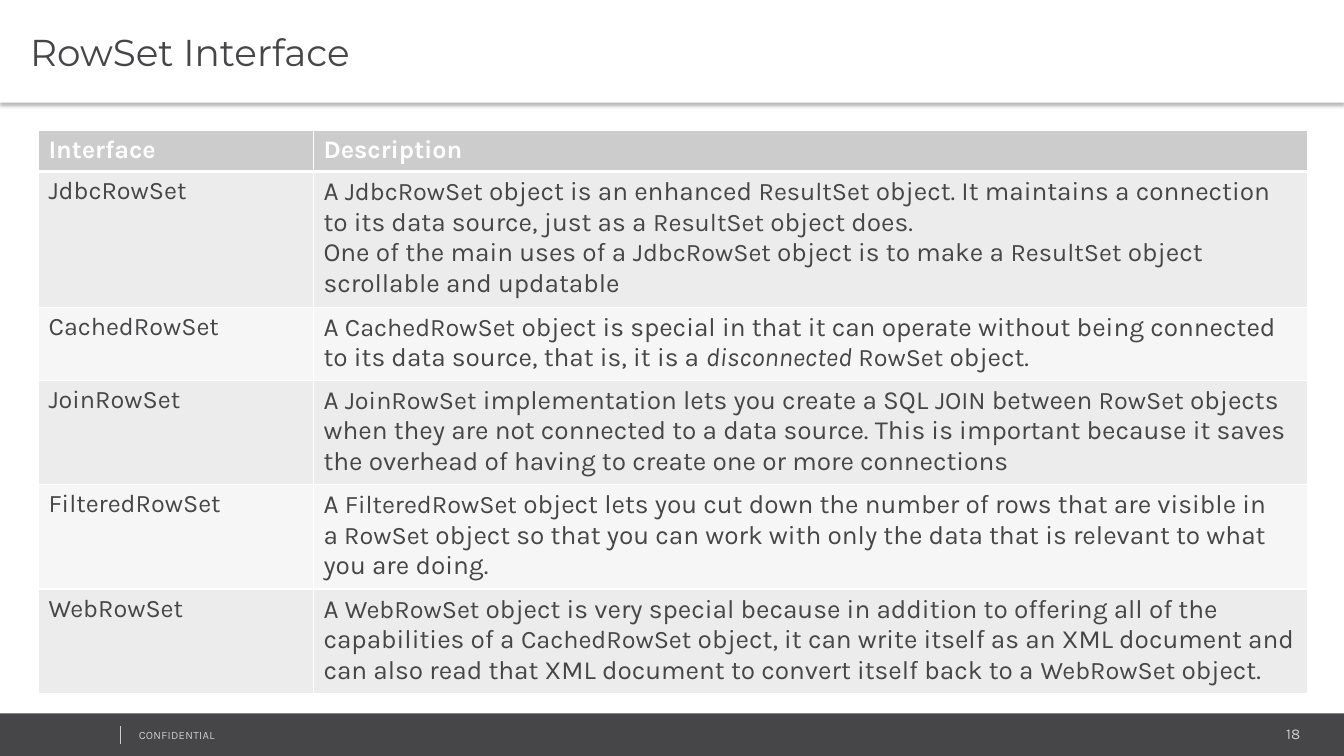
import dataclasses

import lxml.etree
import pptx
import pptx.dml.color
import pptx.enum.shapes
import pptx.enum.text
import pptx.oxml.ns
import pptx.util
from pptx.util import Cm, Pt

DARK, GREY, WHITE = "464547", "CCCCCC", "FFFFFF"
BANDS = ("ECECEC", "F6F6F6")
BODY_FONT, TITLE_FONT = "Karla", "Montserrat"
NAME_SIZE, PROSE_SIZE = 18, 18.7
HARD_SPACE = chr(160)


@dataclasses.dataclass(frozen=True)
class InterfaceRow:
    name: str
    paragraphs: tuple[str, ...]
    height: float


@dataclasses.dataclass(frozen=True)
class FooterText:
    text: str
    left: float
    top: float
    width: float
    height: float
    size: float
    align: pptx.enum.text.PP_ALIGN
    spacing: int = 0


# Backticks mark interface names and keywords; `*word` marks italics.
ROWS = (
    InterfaceRow("JdbcRowSet", (
        "A `JdbcRowSet` object is an enhanced `ResultSet` object. It maintains a connection to "
        "its data source, just as a `ResultSet` object does.",
        "One of the main uses of a `JdbcRowSet` object is to make a `ResultSet` object "
        "scrollable and updatable"), 3.3),
    InterfaceRow("CachedRowSet", (
        "A `CachedRowSet` object is special in that it can operate without being connected "
        "to its data source, that is, it is a `*disconnected` `RowSet` object.",), 1.78),
    InterfaceRow("JoinRowSet", (
        "A `JoinRowSet` implementation lets you create a SQL `JOIN` between `RowSet` objects "
        "when they are not connected to a data source. This is important because it saves "
        "the overhead of having to create one or more connections",), 2.55),
    InterfaceRow("FilteredRowSet", (
        "A `FilteredRowSet` object lets you cut down the number of rows that are visible in "
        "a `RowSet` object so that you can work with only the data that is relevant to what "
        "you are doing.",), 2.55),
    InterfaceRow("WebRowSet", (
        "A `WebRowSet` object is very special because in addition to offering all of the "
        "capabilities of a `CachedRowSet` object, it can write itself as an XML document and "
        "can also read that XML document to convert itself back to a `WebRowSet` object.",), 2.55),
)
FOOTER_TEXTS = (
    FooterText("18", 27.48, 18.14, 5.54, 0.71, 10.7, pptx.enum.text.PP_ALIGN.RIGHT),
    FooterText("CONFIDENTIAL", 3.25, 18.24, 8.59, 0.61, 8, pptx.enum.text.PP_ALIGN.LEFT, 20),
)


def color(value: str) -> pptx.dml.color.RGBColor:
    return pptx.dml.color.RGBColor.from_string(value)


def add_xml(parent, tag: str, **attributes):
    child = lxml.etree.SubElement(parent, pptx.oxml.ns.qn(tag))
    for key, value in attributes.items():
        child.set(key, str(value))
    return child


def set_font(para, name: str, size: float, shade: str, bold: bool = False) -> None:
    font = para.font
    font.name, font.size, font.bold = name, Pt(size), bold
    font.color.rgb = color(shade)


def write_title(page, text: str) -> None:
    title = page.shapes.title
    title.left, title.top, title.width, title.height = 0, 0, Cm(33.87), Cm(2.59)
    title.fill.solid()
    title.fill.fore_color.rgb = color(WHITE)
    effects = add_xml(title._element.spPr, "a:effectLst")
    shadow = add_xml(effects, "a:outerShdw", blurRad=Pt(3.1), dist=Pt(2), dir=5400000,
                     algn="t", rotWithShape=0)
    add_xml(add_xml(shadow, "a:srgbClr", val="000000"), "a:alpha", val=30000)
    frame = title.text_frame
    frame.margin_left, frame.margin_right = Cm(0.76), Cm(0.18)
    frame.margin_top = frame.margin_bottom = Cm(0.1)
    frame.vertical_anchor = pptx.enum.text.MSO_ANCHOR.MIDDLE
    para = frame.paragraphs[0]
    para.alignment = pptx.enum.text.PP_ALIGN.LEFT
    para.add_run().text = text
    set_font(para, TITLE_FONT, 26.7, DARK)


def draw_footer(page) -> None:
    bar = page.shapes.add_shape(pptx.enum.shapes.MSO_SHAPE.RECTANGLE,
                                0, Cm(17.98), Cm(33.9), Cm(1.09))
    bar.shadow.inherit = False
    bar.fill.solid()
    bar.fill.fore_color.rgb = color(DARK)
    bar.line.fill.background()
    for item in FOOTER_TEXTS:
        box = page.shapes.add_textbox(Cm(item.left), Cm(item.top), Cm(item.width), Cm(item.height))
        frame = box.text_frame
        frame.word_wrap = True
        frame.auto_size = pptx.enum.text.MSO_AUTO_SIZE.SHAPE_TO_FIT_TEXT
        para = frame.paragraphs[0]
        para.alignment = item.align
        span = para.add_run()
        span.text = item.text
        set_font(para, BODY_FONT, item.size, GREY)
        if item.spacing:
            span._r.get_or_add_rPr().set("spc", str(item.spacing))
    divider = page.shapes.add_connector(pptx.enum.shapes.MSO_CONNECTOR.STRAIGHT,
                                        Cm(3.02), Cm(18.29), Cm(3.02), Cm(18.75))
    divider.line.color.rgb = color(GREY)
    divider.line.width = Pt(0.25)
    add_xml(divider._element.spPr, "a:effectLst")


def style_cell(cell, fill: str, top: float = 1, bottom: float = 1) -> None:
    properties = cell._tc.get_or_add_tcPr()
    for side, width in {"L": 1, "R": 1, "T": top, "B": bottom}.items():
        border = add_xml(properties, f"a:ln{side}", w=Pt(width))
        add_xml(add_xml(border, "a:solidFill"), "a:srgbClr", val=WHITE)
    cell.fill.solid()
    cell.fill.fore_color.rgb = color(fill)


def write_plain(cell, text: str, shade: str, bold: bool = False) -> None:
    para = cell.text_frame.paragraphs[0]
    para.add_run().text = text
    set_font(para, BODY_FONT, NAME_SIZE, shade, bold)


def write_marked(para, text: str) -> None:
    """Write prose with marked words, held to their neighbours by hard spaces."""
    set_font(para, BODY_FONT, PROSE_SIZE, DARK)
    text = text.replace(" `", HARD_SPACE + "`").replace("` ", "`" + HARD_SPACE)
    for index, piece in enumerate(text.split("`")):
        if not piece:
            continue
        span = para.add_run()
        span.text = piece.lstrip("*")
        if piece.startswith("*"):
            span.font.italic = True
        elif index % 2:
            span.font.size = Pt(NAME_SIZE)


def draw_table(page) -> None:
    heights = [1.04] + [row.height for row in ROWS]
    table = page.shapes.add_table(len(heights), 2, Cm(0.97), Cm(3.28),
                                  Cm(31.97), Cm(sum(heights))).table
    table.columns[0].width, table.columns[1].width = Cm(6.93), Cm(25.04)
    for row, height in zip(table.rows, heights):
        row.height = Cm(height)
    for column, heading in enumerate(("Interface", "Description")):
        cell = table.cell(0, column)
        style_cell(cell, GREY, bottom=3)
        write_plain(cell, heading, WHITE, bold=True)
    for number, row in enumerate(ROWS):
        name_cell, description_cell = table.rows[number + 1].cells
        for cell in (name_cell, description_cell):
            style_cell(cell, BANDS[number % 2], top=1 if number else 3)
        write_plain(name_cell, row.name, DARK)
        frame = description_cell.text_frame
        for index, text in enumerate(row.paragraphs):
            write_marked(frame.add_paragraph() if index else frame.paragraphs[0], text)


def main() -> None:
    deck = pptx.Presentation()
    deck.slide_width, deck.slide_height = Cm(33.87), Cm(19.05)
    page = deck.slides.add_slide(deck.slide_layouts[5])
    draw_footer(page)
    write_title(page, "RowSet Interface")
    draw_table(page)
    deck.save("out.pptx")


if __name__ == "__main__":
    main()
